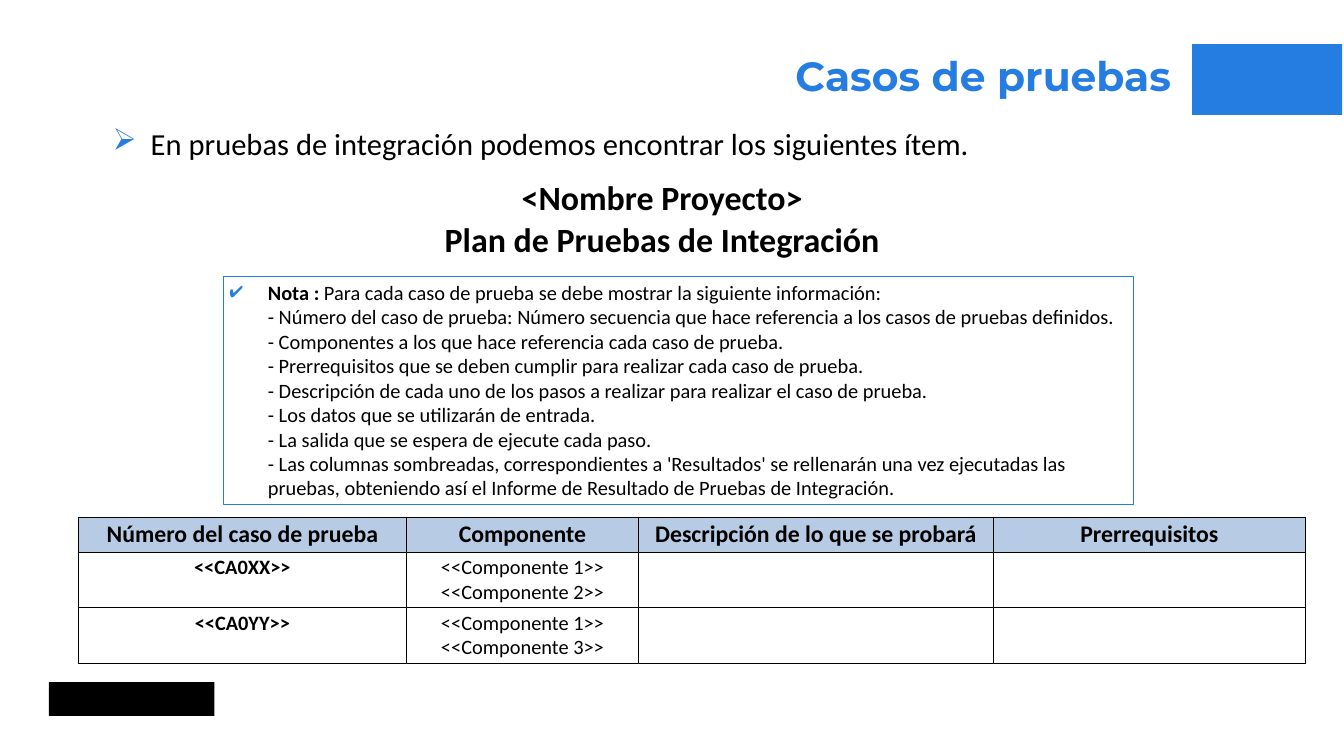
import pptx
import pptx.util
import pptx.dml.color
import pptx.enum.shapes
import pptx.enum.text
import pptx.oxml
import pptx.oxml.ns

Pt = pptx.util.Pt
ALIGN = pptx.enum.text.PP_ALIGN
BLUE, BLACK, WHITE, PALE = "257CE1", "000000", "FFFFFF", "B7CCE4"

TITLE = "Casos de pruebas"
INTRO = "En pruebas de integración podemos encontrar los siguientes ítem."
HEADS = ["<Nombre Proyecto>", "Plan de Pruebas de Integración"]
LABEL = "Nota : "
NOTE = """Para cada caso de prueba se debe mostrar la siguiente información:
- Número del caso de prueba: Número secuencia que hace referencia a los casos de pruebas definidos.
- Componentes a los que hace referencia cada caso de prueba.
- Prerrequisitos que se deben cumplir para realizar cada caso de prueba.
- Descripción de cada uno de los pasos a realizar para realizar el caso de prueba.
- Los datos que se utilizarán de entrada.
- La salida que se espera de ejecute cada paso.
- Las columnas sombreadas, correspondientes a 'Resultados' se rellenarán una vez ejecutadas las pruebas, \
obteniendo así el Informe de Resultado de Pruebas de Integración."""
CASES = [
    ["Número del caso de prueba", "Componente", "Descripción de lo que se probará", "Prerrequisitos"],
    ["<<CA0XX>>", "<<Componente 1>>\n<<Componente 2>>", "", ""],
    ["<<CA0YY>>", "<<Componente 1>>\n<<Componente 3>>", "", ""],
]
WIDTHS = [387, 273, 418, 368]
HEIGHTS = [42, 65, 65]


def rgb(code):
    return pptx.dml.color.RGBColor.from_string(code)


def put(frame, runs, size, color=BLACK, font="Calibri", align=ALIGN.LEFT):
    """Write (text, bold) runs into the first paragraph of a frame."""
    para = frame.paragraphs[0]
    para.alignment = align
    for text, bold in runs:
        for i, line in enumerate(text.split("\n")):
            if i:
                para.add_line_break()
            run = para.add_run()
            run.text = line
            run.font.size, run.font.bold, run.font.name = Pt(size), bold, font
            run.font.color.rgb = rgb(color)


def bullet(frame, char):
    props = frame.paragraphs[0]._p.get_or_add_pPr()
    props.set("marL", str(Pt(45)))
    props.set("indent", str(Pt(-45)))
    ns = pptx.oxml.ns.nsdecls("a")
    props.append(pptx.oxml.parse_xml(f'<a:buClr {ns}><a:srgbClr val="{BLUE}"/></a:buClr>'))
    props.append(pptx.oxml.parse_xml(f'<a:buChar {ns} char="{char}"/>'))


def box(left, top, width, height, fill=None, line=None):
    shape = slide.shapes.add_shape(
        pptx.enum.shapes.MSO_SHAPE.RECTANGLE, Pt(left), Pt(top), Pt(width), Pt(height))
    shape.shadow.inherit = False
    if fill:
        shape.fill.solid()
        shape.fill.fore_color.rgb = rgb(fill)
    else:
        shape.fill.background()
    if line:
        shape.line.color.rgb = rgb(line)
        shape.line.width = Pt(0.75)
    else:
        shape.line.fill.background()
    return shape


def label(left, top, width, height):
    frame = slide.shapes.add_textbox(Pt(left), Pt(top), Pt(width), Pt(height)).text_frame
    frame.word_wrap = True
    return frame


def inset(part, size):
    part.margin_left = part.margin_right = part.margin_top = part.margin_bottom = Pt(size)


def grid(left, top, widths, heights):
    table = slide.shapes.add_table(
        len(heights), len(widths), Pt(left), Pt(top), Pt(sum(widths)), Pt(sum(heights))).table
    table.first_row = table.horz_banding = False
    for col, width in zip(table.columns, widths):
        col.width = Pt(width)
    for row, height in zip(table.rows, heights):
        row.height = Pt(height)
    return table


def style(cell, fill, edge, width):
    """Give a cell its four borders and its fill."""
    props = cell._tc.get_or_add_tcPr()
    for side in "LRTB":
        props.append(pptx.oxml.parse_xml(
            f'<a:ln{side} {pptx.oxml.ns.nsdecls("a")} w="{Pt(width)}"><a:solidFill>'
            f'<a:srgbClr val="{edge}"/></a:solidFill></a:ln{side}>'))
    cell.fill.solid()
    cell.fill.fore_color.rgb = rgb(fill)


deck = pptx.Presentation()
deck.slide_width, deck.slide_height = Pt(1583.28), Pt(890.64)
slide = deck.slides.add_slide(deck.slide_layouts[6])

box(57.5, 803.5, 195, 40, BLACK)
box(1404.5, 52, 176.5, 83.5, BLUE)

title = label(816, 60, 563.5, 58)
inset(title, 0)
put(title, [(TITLE, True)], 48, BLUE, "Montserrat", ALIGN.RIGHT)

intro = label(125.5, 144, 1036, 51)
put(intro, [(INTRO, False)], 36)
bullet(intro, "➢")

note = box(263.5, 325, 1072, 269, line=BLUE).text_frame
note.word_wrap = True
note.vertical_anchor = pptx.enum.text.MSO_ANCHOR.MIDDLE
put(note, [(LABEL, True), (NOTE, False)], 24)
bullet(note, "✔")

plan = grid(462, 210, [636], [49, 49])
for row, head in enumerate(HEADS):
    cell = plan.cell(row, 0)
    inset(cell, 0)
    cell.vertical_anchor = pptx.enum.text.MSO_ANCHOR.BOTTOM
    put(cell.text_frame, [(head, True)], 40, align=ALIGN.CENTER)
    style(cell, WHITE, WHITE, 0.75)

cases = grid(92, 609, WIDTHS, HEIGHTS)
for row, texts in enumerate(CASES):
    for col, text in enumerate(texts):
        cell = cases.cell(row, col)
        if text:
            bold = row == 0 or col == 0
            put(cell.text_frame, [(text, bold)], 24 if row else 28, align=ALIGN.CENTER)
        style(cell, WHITE if row else PALE, BLACK, 1)

deck.save("out.pptx")
